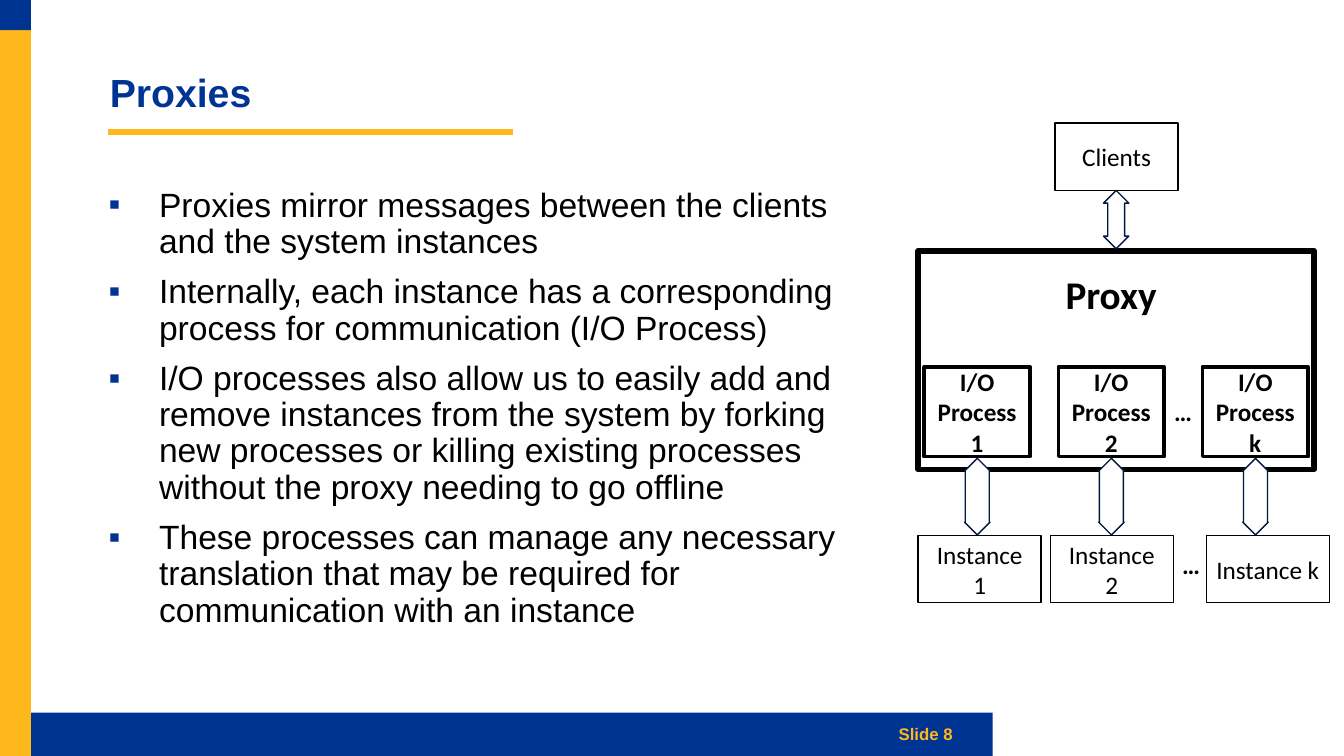
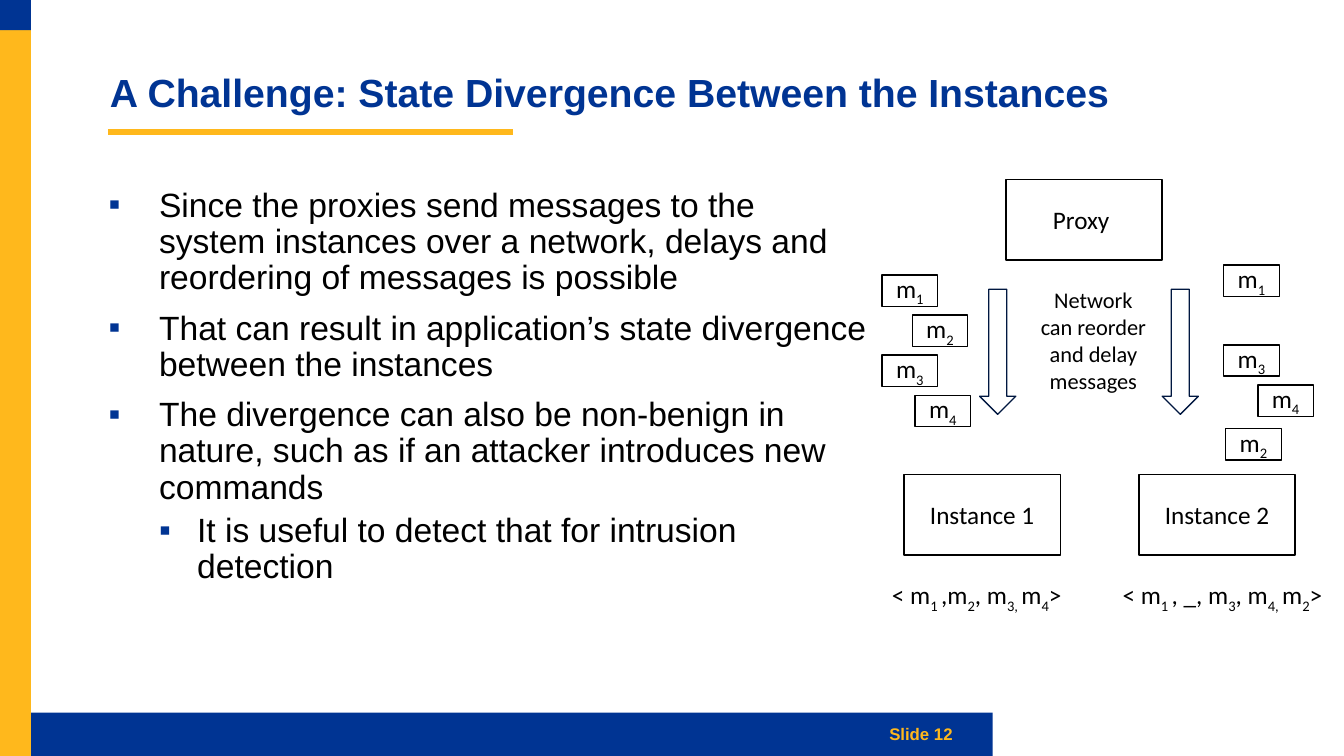
"""Build two slides on proxies and on state divergence between instances."""
from lxml import etree
from pptx import Presentation
from pptx.dml.color import RGBColor
from pptx.enum.shapes import MSO_CONNECTOR, MSO_SHAPE
from pptx.enum.text import MSO_ANCHOR, PP_ALIGN
from pptx.oxml.ns import qn
from pptx.util import Cm, Pt

RECT, BOTH, DOWN = MSO_SHAPE.RECTANGLE, MSO_SHAPE.UP_DOWN_ARROW, MSO_SHAPE.DOWN_ARROW
LEFT, CENTER, RIGHT = PP_ALIGN.LEFT, PP_ALIGN.CENTER, PP_ALIGN.RIGHT
TOP, MIDDLE = MSO_ANCHOR.TOP, MSO_ANCHOR.MIDDLE
BLUE = RGBColor(0x00, 0x34, 0x93)
GOLD = RGBColor(0xFF, 0xB8, 0x1C)
NAVY = RGBColor(0x00, 0x17, 0x40)
BLACK = RGBColor(0, 0, 0)
WHITE = RGBColor(0xFF, 0xFF, 0xFF)


def add_text(sp, text, size=18, font="Calibri", color=BLACK, bold=False, align=CENTER,
             anchor=MIDDLE, side=0.25, spacing=None, before=0, new=False):
    """Write one paragraph; parts between ~ marks are subscripts."""
    tf = sp.text_frame
    tf.word_wrap, tf.vertical_anchor = True, anchor
    tf.margin_left = tf.margin_right = Cm(side)
    p = tf.add_paragraph() if new else tf.paragraphs[0]
    p.alignment, p.line_spacing, p.space_before = align, spacing, Pt(before)
    for i, part in enumerate(text.split("~")):
        r = p.add_run()
        r.text = part
        r.font.size, r.font.name, r.font.bold = Pt(size), font, bold
        r.font.color.rgb = color
        if i % 2:
            r.font._element.set("baseline", "-25000")
    return p


def add_box(s, x, y, w, h, kind=RECT, fill=None, line=BLACK, weight=1):
    """Draw a preset shape, with positions in centimetres."""
    sp = s.shapes.add_shape(kind, Cm(x), Cm(y), Cm(w), Cm(h))
    sp.shadow.inherit = False
    if fill is None:
        sp.fill.background()
    else:
        sp.fill.solid()
        sp.fill.fore_color.rgb = fill
    if line is None:
        sp.line.fill.background()
    else:
        sp.line.color.rgb = line
        sp.line.width = Pt(weight)
    return sp


PAGES = [
    (8, "Proxies", [
        (0, "Proxies mirror messages between the clients and the system instances"),
        (0, "Internally, each instance has a corresponding process for communication (I/O Process)"),
        (0, "I/O processes also allow us to easily add and remove instances from the system by "
            "forking new processes or killing existing processes without the proxy needing to go offline"),
        (0, "These processes can manage any necessary translation that may be required for "
            "communication with an instance"),
    ]),
    (12, "A Challenge: State Divergence Between the Instances", [
        (0, "Since the proxies send messages to the system instances over a network, delays and "
            "reordering of messages is possible"),
        (0, "That can result in application’s state divergence between the instances"),
        (0, "The divergence can also be non-benign in nature, such as if an attacker introduces "
            "new commands"),
        (1, "It is useful to detect that for intrusion detection"),
    ]),
]
INDENTS = [(1.27, -1.27), (2.23, -0.96)]
SPACE_BEFORE = [10, 5]

prs = Presentation()
prs.slide_width, prs.slide_height = Cm(33.87), Cm(19.05)

for number, title, bullets in PAGES:
    s = prs.slides.add_slide(prs.slide_layouts[6])
    for x, y, w, h, color in [(0.76, 17.96, 24.26, 1.09, BLUE),
                              (0, 0.76, 0.78, 18.29, GOLD),
                              (0, 0, 0.78, 0.76, BLUE)]:
        add_box(s, x, y, w, h, fill=color, line=None)
    rule = s.shapes.add_connector(MSO_CONNECTOR.STRAIGHT, Cm(2.72), Cm(3.33), Cm(12.93), Cm(3.33))
    rule.line.color.rgb, rule.line.width = GOLD, Pt(4)
    etree.SubElement(rule._element.spPr, qn("a:effectLst"))
    sp = s.shapes.add_textbox(Cm(16.64), Cm(17.98), Cm(7.62), Cm(1.02))
    add_text(sp, f"Slide {number}", size=12, font="Arial", color=GOLD, bold=True, align=RIGHT)
    sp = s.shapes.add_textbox(Cm(2.77), Cm(1.73), Cm(29.87), Cm(1.98))
    add_text(sp, title, size=28, font="Arial", color=BLUE, bold=True, align=LEFT,
             anchor=TOP, side=0, spacing=0.9)
    sp = s.shapes.add_textbox(Cm(2.74), Cm(4.62), Cm(19.18), Cm(12.7))
    for i, (level, text) in enumerate(bullets):
        p = add_text(sp, text, size=24, font="Arial", align=LEFT, anchor=TOP, side=0,
                     spacing=0.9, before=SPACE_BEFORE[level] if i else 0, new=i > 0)
        p.level = level
        pPr = p._p.get_or_add_pPr()
        margin, indent = INDENTS[level]
        pPr.set("marL", str(Cm(margin)))
        pPr.set("indent", str(Cm(indent)))
        clr = etree.SubElement(etree.SubElement(pPr, qn("a:buClr")), qn("a:srgbClr"))
        clr.set("val", str(BLUE))
        etree.SubElement(pPr, qn("a:buFont")).set("typeface", "Arial")
        etree.SubElement(pPr, qn("a:buChar")).set("char", "▪")

s = prs.slides[0]
add_box(s, 23.14, 6.32, 9.98, 5.51, weight=4)
add_text(s.shapes.add_textbox(Cm(26.54), Cm(6.68), Cm(2.92), Cm(1.45)), "Proxy",
         size=28, bold=True, anchor=TOP)
add_text(add_box(s, 26.59, 3.1, 3.1, 1.7), "Clients")
arrows = [(27.81, 4.8, 1.47, 0.662)]
for name, process_x, instance_x in [("1", 23.29, 23.14), ("2", 26.67, 26.47), ("k", 30.3, 30.4)]:
    add_text(add_box(s, instance_x, 13.49, 3.1, 1.7), f"Instance {name}")
    add_text(add_box(s, process_x, 9.25, 2.67, 2.26, weight=2.5), f"I/O Process {name}", bold=True)
    arrows.append((process_x + 1.02, 11.55, 1.93, 0.945))
for x, y, h, head in arrows:
    sp = add_box(s, x, y, 0.64, h, kind=BOTH, fill=WHITE, line=NAVY)
    sp.adjustments[0], sp.adjustments[1] = 0.5, head
for x, y in [(29.34, 9.86), (29.54, 13.72)]:
    add_text(s.shapes.add_textbox(Cm(x), Cm(y), Cm(0.89), Cm(1.02)), "…",
             bold=True, align=LEFT, anchor=TOP)

s = prs.slides[1]
for text, x, y in [("Proxy ", 25.35, 4.52), ("Instance 1", 22.78, 11.96), ("Instance 2", 28.7, 11.96)]:
    add_text(add_box(s, x, y, 3.94, 2.03), text)
for x in (24.69, 29.29):
    add_box(s, x, 7.29, 0.91, 3.15, kind=DOWN, fill=WHITE, line=NAVY)
add_text(s.shapes.add_textbox(Cm(25.88), Cm(7.09), Cm(3.35), Cm(3)),
         "Network can reorder and delay messages", size=16, anchor=TOP)
for n, x, y in [(1, 22.23, 6.93), (2, 22.99, 7.94), (3, 22.23, 8.95), (4, 23.06, 9.96),
                (1, 30.84, 6.68), (3, 30.84, 8.69), (4, 31.7, 9.7), (2, 30.89, 10.8)]:
    add_text(add_box(s, x, y, 1.4, 0.79), f"m~{n}")
for text, x, w in [("< m~1 ~,m~2~, m~3, ~m~4~>", 22.23, 5.26),
                   ("< m~1 ~, _, m~3~, m~4, ~m~2~>", 28.04, 5.84)]:
    add_text(s.shapes.add_textbox(Cm(x), Cm(14.48), Cm(w), Cm(1.02)), text, align=LEFT, anchor=TOP)

prs.save("out.pptx")
